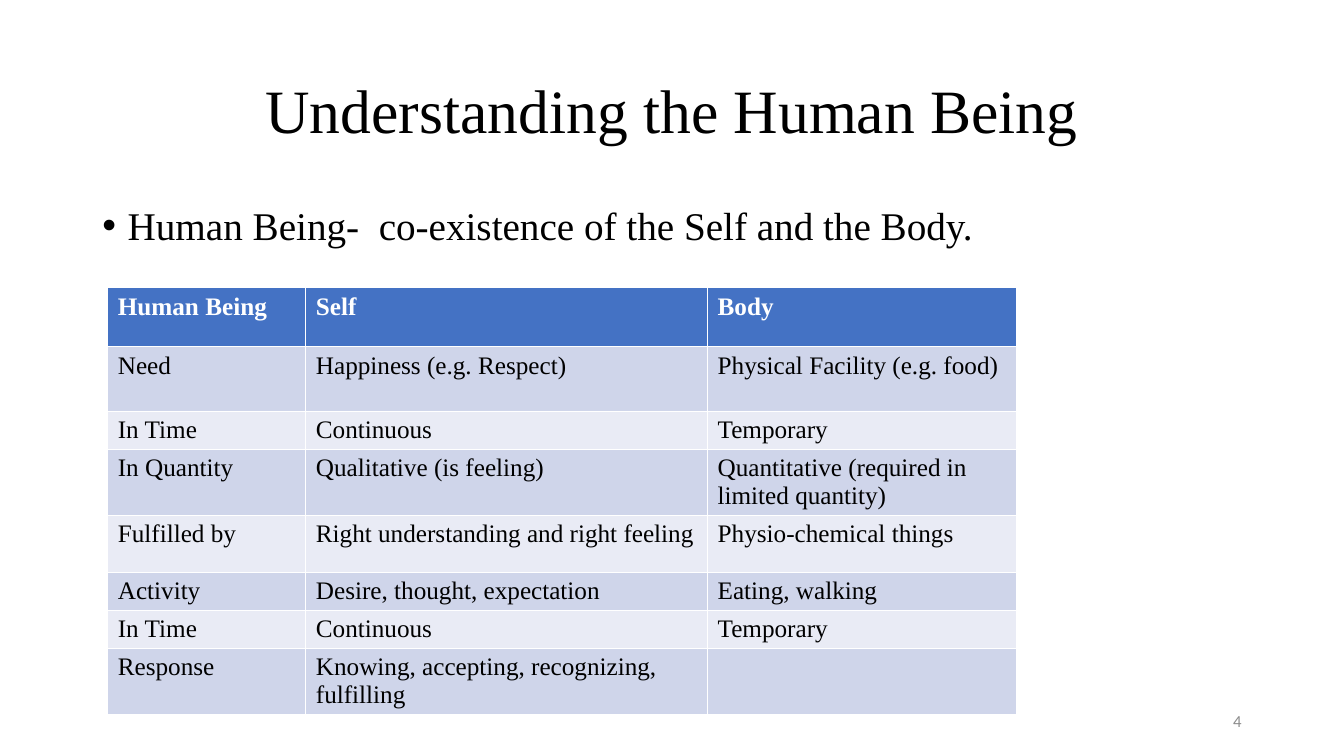
from pptx import Presentation
from pptx.dml.color import RGBColor
from pptx.enum import text
from pptx.oxml import parse_xml
from pptx.oxml.ns import nsdecls
from pptx.util import Pt

COLORS = {
    "text": "000000",
    "header text": "FFFFFF",
    "header": "4472C4",
    "dark band": "CFD5EA",
    "light band": "E9EBF5",
    "page number": "8C8C8C",
}
SERIF = "Times New Roman"


def style(paragraph, size, color, face=SERIF, bold=False):
    font = paragraph.font
    font.size = Pt(size)
    font.name = face
    font.bold = bold
    font.color.rgb = RGBColor.from_string(COLORS[color])


def place(box, left, top, width, height, anchor):
    box.left, box.top = Pt(left), Pt(top)
    box.width, box.height = Pt(width), Pt(height)
    frame = box.text_frame
    frame.word_wrap = True
    frame.auto_size = text.MSO_AUTO_SIZE.NONE
    frame.vertical_anchor = anchor
    return frame.paragraphs[0]


deck = Presentation()
deck.slide_width, deck.slide_height = Pt(960), Pt(540)
slide = deck.slides.add_slide(deck.slide_layouts[1])

heading = place(slide.shapes.title, 66, 28.8, 828, 104.4, text.MSO_ANCHOR.MIDDLE)
heading.text = "Understanding the Human Being"
heading.alignment = text.PP_ALIGN.CENTER
heading.line_spacing = 0.9
style(heading, 44, "text")

definition = place(slide.placeholders[1], 66, 144, 828, 342.7, text.MSO_ANCHOR.TOP)
definition.text = "Human Being-  co-existence of the Self and the Body."
definition.line_spacing = 0.9
definition.space_before = Pt(0)
indent = definition._p.get_or_add_pPr()
indent.set("marL", str(Pt(18)))
indent.set("indent", str(Pt(-18)))
indent.append(parse_xml(f'<a:buFont {nsdecls("a")} typeface="Arial"/>'))
indent.append(parse_xml(f'<a:buChar {nsdecls("a")} char="•"/>'))
style(definition, 28, "text")

comparison = [
    ("Human Being", "Self", "Body"),
    ("Need", "Happiness (e.g. Respect)", "Physical Facility (e.g. food)"),
    ("In Time", "Continuous", "Temporary"),
    ("In Quantity", "Qualitative (is feeling)", "Quantitative (required in limited quantity)"),
    ("Fulfilled by", "Right understanding and right feeling", "Physio-chemical things"),
    ("Activity", "Desire, thought, expectation", "Eating, walking"),
    ("In Time", "Continuous", "Temporary"),
    ("Response", "Knowing, accepting, recognizing, fulfilling", ""),
]
column_widths = [141.5, 287, 220.5]
row_heights = [42.2, 46.2, 26.2, 43.2, 40.6, 26.2, 26.2, 26.2]

table = slide.shapes.add_table(
    len(comparison), len(column_widths),
    Pt(77), Pt(205.5), Pt(sum(column_widths)), Pt(sum(row_heights)),
).table
for column, width in zip(table.columns, column_widths):
    column.width = Pt(width)
for index, (aspect, height) in enumerate(zip(comparison, row_heights)):
    table.rows[index].height = Pt(height)
    is_header = index == 0
    band = "header" if is_header else "dark band" if index % 2 else "light band"
    for cell, entry in zip(table.rows[index].cells, aspect):
        cell.fill.solid()
        cell.fill.fore_color.rgb = RGBColor.from_string(COLORS[band])
        if entry:
            cell.text = entry
        style(cell.text_frame.paragraphs[0], 18,
              "header text" if is_header else "text", bold=is_header)

page_box = slide.shapes.add_textbox(0, 0, 0, 0)
page_number = place(page_box, 678, 500.5, 216, 28.8, text.MSO_ANCHOR.MIDDLE)
page_number.text = "4"
page_number.alignment = text.PP_ALIGN.RIGHT
style(page_number, 12, "page number", "Calibri")

deck.save("out.pptx")
